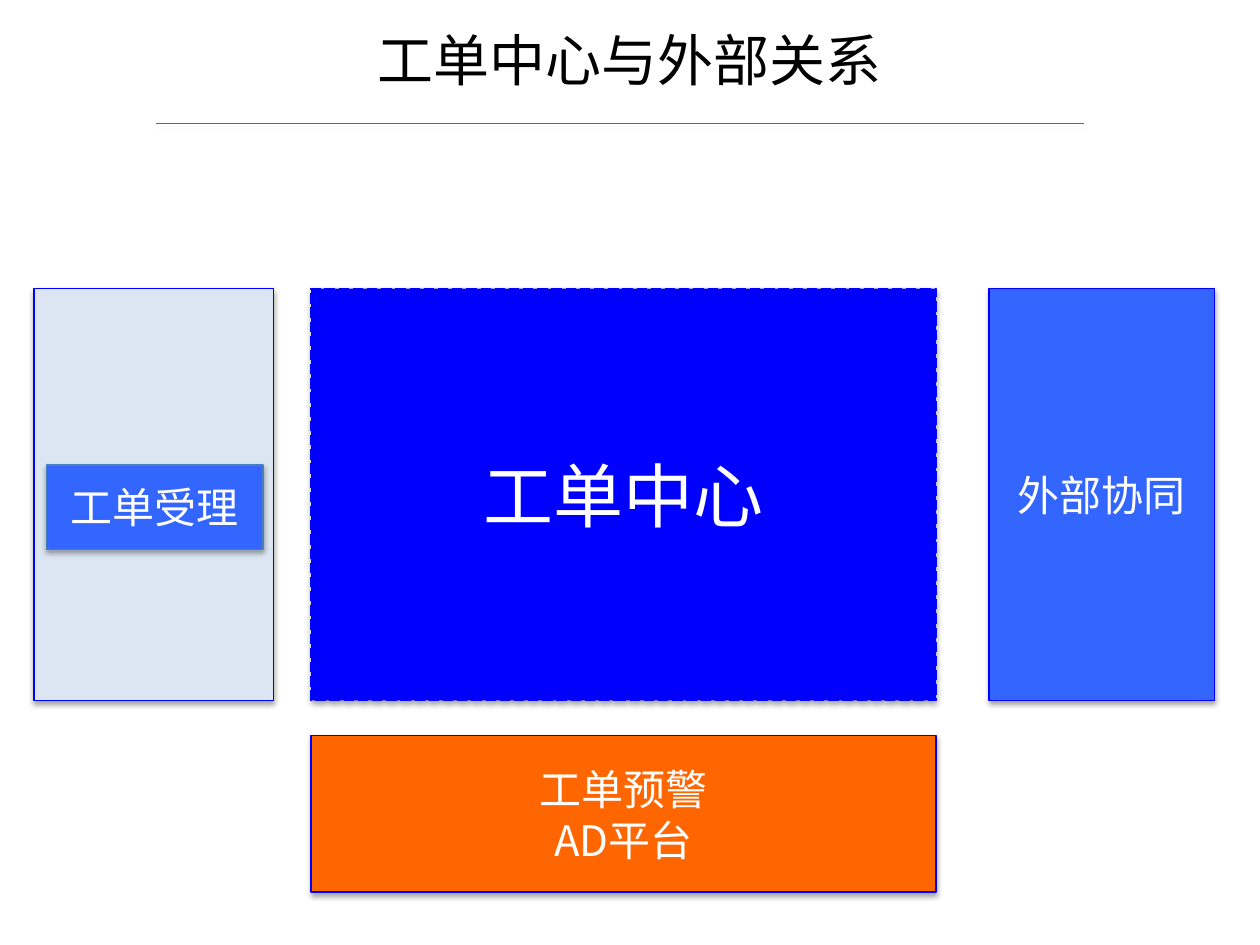
from dataclasses import dataclass

from lxml.etree import SubElement
from pptx import Presentation
from pptx.dml.color import RGBColor as RGB
from pptx.enum.dml import MSO_LINE
from pptx.enum.shapes import MSO_CONNECTOR, MSO_SHAPE
from pptx.enum.text import MSO_ANCHOR, PP_ALIGN
from pptx.oxml.ns import qn
from pptx.util import Pt


@dataclass(frozen=True)
class Theme:
    black: str = "000000"
    white: str = "FFFFFF"
    pale: str = "DCE6F2"
    blue: str = "3366FF"
    strong: str = "0000FF"
    edge: str = "4B7EBC"
    orange: str = "FF6600"
    font: str = "Noto Sans CJK JP"
    core_font: str = "Noto Sans CJK SC"
    title_size: float = 32
    core_size: float = 40
    label_size: float = 24
    label_leading: float = 29
    line: float = 0.75


class Diagram:
    def __init__(self, slide, theme):
        self.s = slide
        self.t = theme

    def _shadow(self, sp, alpha):
        sp_pr = sp._element.spPr
        effects = sp_pr.find(qn("a:effectLst"))
        if effects is None:
            effects = SubElement(sp_pr, qn("a:effectLst"))
        shadow = SubElement(effects, qn("a:outerShdw"), blurRad=str(Pt(3.1)),
                            dist=str(Pt(1.8)), dir="5400000", rotWithShape="0")
        color = SubElement(shadow, qn("a:srgbClr"), val=self.t.black)
        SubElement(color, qn("a:alpha"), val=str(alpha * 1000))

    def _write(self, sp, text, size, color, font):
        """Centre the text both ways, one paragraph per line."""
        tf = sp.text_frame
        tf.word_wrap = True
        tf.vertical_anchor = MSO_ANCHOR.MIDDLE
        tf.text = text
        for p in tf.paragraphs:
            p.alignment = PP_ALIGN.CENTER
            if len(tf.paragraphs) > 1:
                p.line_spacing = Pt(self.t.label_leading)
            for r in p.runs:
                r.font.size = Pt(size)
                r.font.color.rgb = RGB.from_string(color)
                r.font.name = font
                SubElement(r.font._element, qn("a:ea"), typeface=font)

    def title(self, text, x, y, w, h):
        sp = self.s.shapes.add_textbox(Pt(x), Pt(y), Pt(w), Pt(h))
        self._write(sp, text, self.t.title_size, self.t.black, self.t.font)

    def rule(self, x1, x2, y):
        c = self.s.shapes.add_connector(MSO_CONNECTOR.STRAIGHT, Pt(x1), Pt(y), Pt(x2), Pt(y))
        c.line.color.rgb = RGB.from_string(self.t.blue)
        c.line.width = Pt(self.t.line)
        self._shadow(c, 38)

    def box(self, x, y, w, h, fill, text="", edge=None, size=None, font=None, dash=None):
        sp = self.s.shapes.add_shape(MSO_SHAPE.RECTANGLE, Pt(x), Pt(y), Pt(w), Pt(h))
        sp.shadow.inherit = False
        sp.fill.solid()
        sp.fill.fore_color.rgb = RGB.from_string(fill)
        sp.line.color.rgb = RGB.from_string(edge or self.t.strong)
        sp.line.width = Pt(self.t.line)
        if dash:
            sp.line.dash_style = dash
        self._shadow(sp, 35)
        if text:
            self._write(sp, text, size or self.t.label_size, self.t.white, font or self.t.font)


def main():
    prs = Presentation()
    prs.slide_width, prs.slide_height = Pt(720), Pt(540)
    t = Theme()
    d = Diagram(prs.slides.add_slide(prs.slide_layouts[6]), t)

    row_y, row_h = 164.9, 235.4
    core_x, core_w = 177.8, 357.1

    d.title("工单中心与外部关系", 36, 13, 648, 41)
    d.rule(89.3, 619.2, 70.6)
    d.box(19.4, row_y, 136.8, row_h, t.pale)
    d.box(26.6, 265.7, 123.8, 48.2, t.blue, "工单受理", edge=t.edge)
    d.box(565.2, row_y, 128.9, row_h, t.blue, "外部协同")
    d.box(core_x, row_y, core_w, row_h, t.strong, "工单中心",
          size=t.core_size, font=t.core_font, dash=MSO_LINE.LONG_DASH)
    d.box(core_x, 420.5, core_w, 89.3, t.orange, "工单预警\nAD平台")

    prs.save("out.pptx")


if __name__ == "__main__":
    main()
